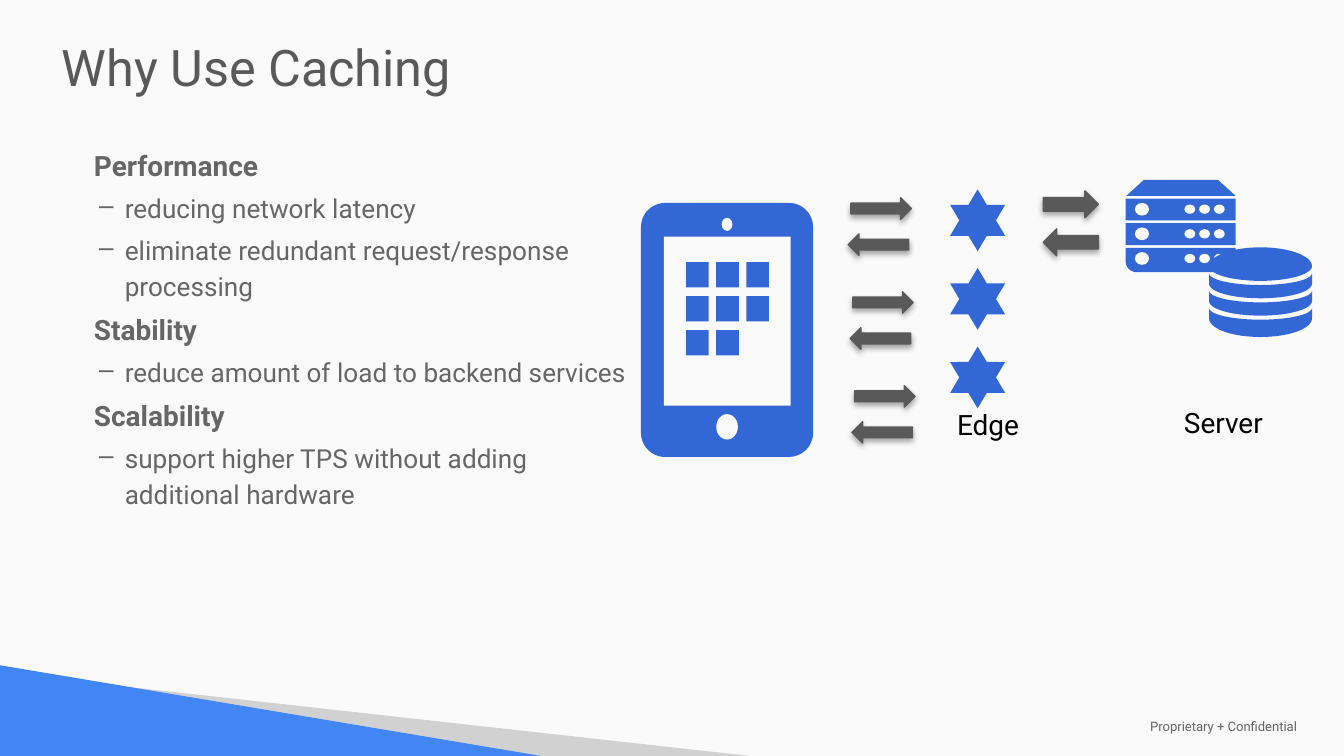
from math import cos, pi, sin

from lxml.etree import SubElement
from pptx import Presentation
from pptx.dml.color import RGBColor
from pptx.enum.shapes import MSO_SHAPE as Preset
from pptx.enum.text import MSO_ANCHOR as Anchor
from pptx.oxml.ns import qn
from pptx.util import Pt

FONT = "Roboto"
PAPER, BLUE, DARK, GREY = "FAFAFA", "3367D6", "595959", "666666"
TOPICS = [
    ("Performance", ["reducing network latency",
                     "eliminate redundant request/response processing"]),
    ("Stability", ["reduce amount of load to backend services"]),
    ("Scalability", ["support higher TPS without adding additional hardware"]),
]


def rgb(color):
    return RGBColor.from_string(color)


def paint(shape, color):
    shape.fill.solid()
    shape.fill.fore_color.rgb = rgb(color)
    shape.line.fill.background()
    shape.shadow.inherit = False
    return shape


def add_preset(slide, preset, x, y, w, h, color, adjustments=()):
    shape = slide.shapes.add_shape(preset, Pt(x), Pt(y), Pt(w), Pt(h))
    for i, value in enumerate(adjustments):
        shape.adjustments[i] = value
    return paint(shape, color)


def add_dot(slide, cx, cy, w, h):
    add_preset(slide, Preset.OVAL, cx - w / 2, cy - h / 2, w, h, PAPER)


def add_polygon(slide, points, color):
    corners = [(Pt(x), Pt(y)) for x, y in points]
    builder = slide.shapes.build_freeform(*corners[0])
    builder.add_line_segments(corners[1:], close=True)
    paint(builder.convert_to_shape(), color)


def add_arrow(slide, x, y, w, h, backward=False):
    arrow = add_preset(slide, Preset.RIGHT_ARROW, x, y, w, h, DARK)
    arrow.line.color.rgb = rgb(DARK)
    arrow.line.width = Pt(0.75)
    arrow.rotation = 180 if backward else 0
    # Soft shadow straight below
    effects = arrow._element.spPr.find(qn("a:effectLst"))
    shadow = SubElement(effects, qn("a:outerShdw"), blurRad=str(Pt(3.1)),
                        dist=str(Pt(1.8)), dir="5400000", rotWithShape="0")
    black = SubElement(shadow, qn("a:srgbClr"), val="000000")
    SubElement(black, qn("a:alpha"), val="35000")


def add_text_frame(slide, x, y, w, h, insets, anchor=Anchor.TOP):
    frame = slide.shapes.add_textbox(Pt(x), Pt(y), Pt(w), Pt(h)).text_frame
    frame.word_wrap = True
    frame.vertical_anchor = anchor
    left, top, right, bottom = insets
    frame.margin_left, frame.margin_top = Pt(left), Pt(top)
    frame.margin_right, frame.margin_bottom = Pt(right), Pt(bottom)
    return frame


def add_run(paragraph, text, size, color, bold=False):
    run = paragraph.add_run()
    run.text = text
    run.font.name = FONT
    run.font.size = Pt(size)
    run.font.bold = bold
    run.font.color.rgb = rgb(color)


def add_label(slide, text, size, color, box, insets, anchor=Anchor.TOP):
    frame = add_text_frame(slide, *box, insets, anchor)
    add_run(frame.paragraphs[0], text, size, color)


def add_topics(slide):
    frame = add_text_frame(slide, 28.1, 74.2, 312.5, 285, (5, 2.9, 5, 2.9))
    lines = [line for heading, points in TOPICS
             for line in [(heading, True)] + [(point, False) for point in points]]
    for i, (text, is_heading) in enumerate(lines):
        paragraph = frame.add_paragraph() if i else frame.paragraphs[0]
        paragraph.line_spacing = 1.15
        if i:
            paragraph.space_before = Pt(3)
        properties = paragraph._p.get_or_add_pPr()
        margin, indent = (18, -0.7) if is_heading else (33.8, -13.7)
        properties.set("marL", str(Pt(margin)))
        properties.set("indent", str(Pt(indent)))
        if not is_heading:
            paragraph.level = 1
            bullet_color = SubElement(properties, qn("a:buClr"))
            SubElement(bullet_color, qn("a:srgbClr"), val=GREY)
            SubElement(properties, qn("a:buChar"), char="–")
        add_run(paragraph, text, 15 if is_heading else 14, GREY, is_heading)


def add_tablet(slide):
    add_preset(slide, Preset.ROUNDED_RECTANGLE, 343.4, 108.7, 92.2, 136.1, BLUE, [0.14])
    add_preset(slide, Preset.RECTANGLE, 355.6, 126.8, 68, 90.6, PAPER)
    add_dot(slide, 389.5, 120.2, 5.8, 7)
    add_dot(slide, 389.5, 228.7, 11.6, 13.6)
    # App tiles, three to a row
    for i in range(8):
        row, column = divmod(i, 3)
        add_preset(slide, Preset.RECTANGLE, 367.6 + 16.1 * column,
                   140.5 + 18.2 * row, 12.1, 13.5, BLUE)


def add_server(slide):
    add_preset(slide, Preset.TRAPEZOID, 603.3, 96.4, 58.7, 8.6, BLUE, [1.1])
    for i in range(3):
        top = 106.4 + 13.2 * i
        if i < 2:
            add_preset(slide, Preset.RECTANGLE, 603, top, 59, 11.7, BLUE)
        else:
            add_preset(slide, Preset.ROUND_2_SAME_RECTANGLE, 603, top, 59, 13,
                       BLUE, [0, 0.45])
        # Status lights
        add_dot(slide, 611.8, top + 5.7, 7.6, 6.8)
        for j in range(3):
            add_dot(slide, 637.4 + 7.9 * j, top + 5.7, 5.8, 5)


def add_disc(slide, upper, upper_bow, lower, lower_bow):
    """A database layer between two bowed edges; a negative bow curves up."""
    angles = [pi * i / 24 for i in range(25)]
    edges = [[(675.3 - 27.6 * cos(a), y + bow * sin(a)) for a in angles]
             for y, bow in ((upper, upper_bow), (lower, lower_bow))]
    add_polygon(slide, edges[0] + edges[1][::-1], BLUE)


def add_database(slide):
    add_disc(slide, 142.6, -10.1, 142.6, 7.9)
    for i in range(3):
        add_disc(slide, 146.4 + 9.3 * i, 6.3, 152 + 9.3 * i, 10 if i == 2 else 7.8)


def main():
    deck = Presentation()
    deck.slide_width, deck.slide_height = Pt(720), Pt(405)
    slide = deck.slides.add_slide(deck.slide_layouts[6])
    slide.background.fill.solid()
    slide.background.fill.fore_color.rgb = rgb(PAPER)

    # Corner wedges and footer
    add_polygon(slide, [(61.2, 367.2), (401.8, 405), (288.7, 405)], "D1D1D1")
    add_polygon(slide, [(0, 356.4), (0, 405), (290, 405)], "4285F4")
    add_label(slide, "Proprietary + Confidential", 7, GREY,
              (609.1, 383.8, 107.3, 10.1), (7.2, 7.2, 7.2, 7.2), Anchor.MIDDLE)

    # Title and reasons
    add_label(slide, "Why Use Caching", 27, DARK,
              (28.1, 15.8, 614.2, 39.6), (5, 2.9, 5, 2.9), Anchor.MIDDLE)
    add_topics(slide)

    # Traffic between tablet and edge, then edge and server
    for i in range(3):
        x, y = 455.8 + i, 106 + 50.3 * i
        add_arrow(slide, x, y, 32.4, 11.5)
        add_arrow(slide, x - 1.4, y + 19.3, 32.4, 11.5, backward=True)
    add_arrow(slide, 558.9, 102.3, 29.5, 14.4)
    add_arrow(slide, 558.9, 122.6, 29.5, 14.4, backward=True)

    # Tablet, edge nodes, server and database
    label_insets = (2.9, 2.9, 2.9, 5.8)
    add_label(slide, "Server", 15, "000000", (631.4, 214.6, 59, 26.6), label_insets)
    add_label(slide, "Edge", 15, "000000", (509.8, 215.3, 51.1, 26.6), label_insets)
    add_tablet(slide)
    add_server(slide)
    add_database(slide)
    for i in range(3):
        add_preset(slide, Preset.STAR_6_POINT, 509, 101.5 + 42.1 * i, 29.5, 33.1, BLUE)

    deck.save("out.pptx")


if __name__ == "__main__":
    main()
